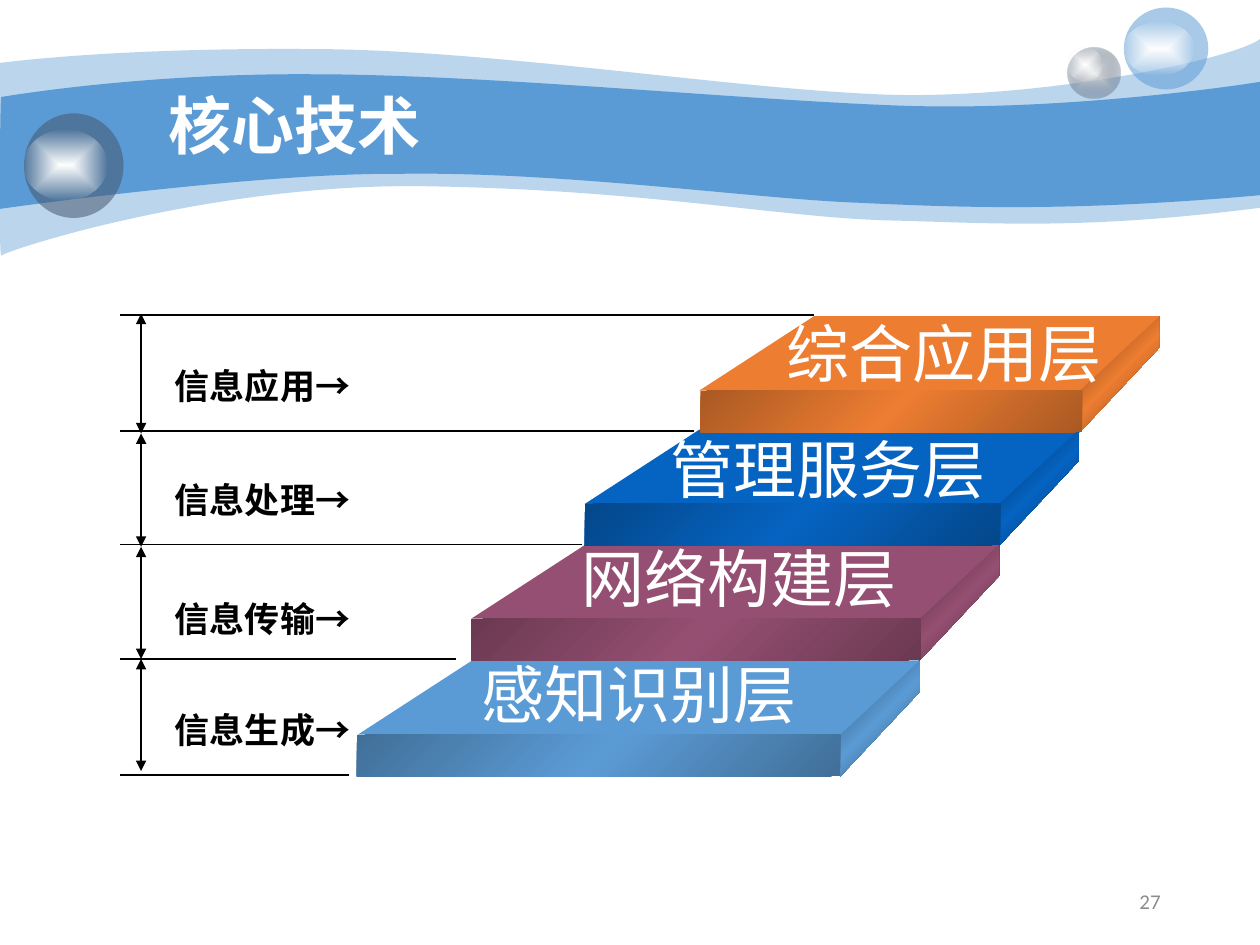
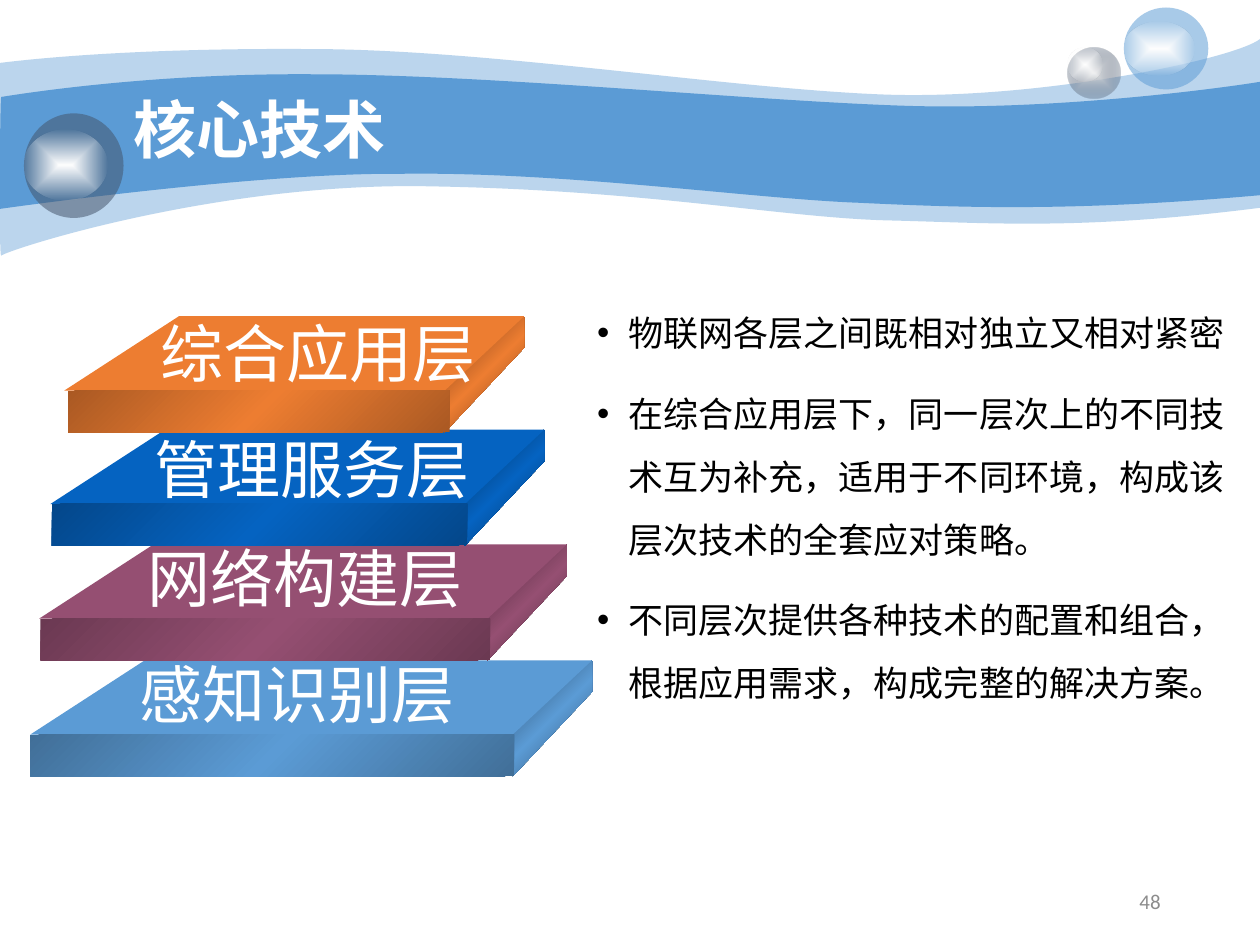
"""Builds two slides on the four technology layers of the Internet of Things."""
import lxml.etree
import pptx
import pptx.dml.color
import pptx.enum.shapes
import pptx.enum.text
import pptx.oxml
import pptx.oxml.ns
import pptx.util

Inches = pptx.util.Inches
qn = pptx.oxml.ns.qn
ALIGN = pptx.enum.text.PP_ALIGN
ANCHOR = pptx.enum.text.MSO_ANCHOR
OVAL = pptx.enum.shapes.MSO_SHAPE.OVAL
RECTANGLE = pptx.enum.shapes.MSO_SHAPE.RECTANGLE
STRAIGHT = pptx.enum.shapes.MSO_CONNECTOR.STRAIGHT
FONT = "Noto Sans CJK SC"
COLOURS = {
    "band": "5B9BD5", "slate": "44546A", "mist": "E2E3E5",
    "white": "FFFFFF", "black": "000000", "page": "8C8C8C",
}


def paint(shape, stops, radial=False):
    """Fill with (position, colour, opacity) stops; a single stop is a solid fill."""
    shape.shadow.inherit = False
    shape.line.fill.background()
    shape.fill.solid()
    solid = shape.element.spPr.find(qn("a:solidFill"))
    colours = [
        f'<a:srgbClr val="{colour}"><a:alpha val="{opacity * 1000}"/></a:srgbClr>'
        for _, colour, opacity in stops
    ]
    namespace = 'xmlns:a="http://schemas.openxmlformats.org/drawingml/2006/main"'
    if len(stops) == 1:
        xml = f"<a:solidFill {namespace}>{colours[0]}</a:solidFill>"
    else:
        steps = "".join(
            f'<a:gs pos="{stop[0] * 1000}">{colour}</a:gs>'
            for stop, colour in zip(stops, colours)
        )
        direction = '<a:lin ang="2700000" scaled="1"/>'
        if radial:
            direction = (
                '<a:path path="shape"><a:fillToRect l="50000" t="50000" '
                'r="50000" b="50000"/></a:path>'
            )
        xml = f"<a:gradFill {namespace}><a:gsLst>{steps}</a:gsLst>{direction}</a:gradFill>"
    solid.getparent().replace(solid, pptx.oxml.parse_xml(xml))


def write(shape, text, size, colour, bold=False, align=ALIGN.LEFT,
          anchor=ANCHOR.TOP, wrap=False, font=FONT):
    """Put text in a shape and format every run of it."""
    frame = shape.text_frame
    frame.text = text
    frame.word_wrap = wrap
    frame.vertical_anchor = anchor
    for paragraph in frame.paragraphs:
        paragraph.alignment = align
        for run in paragraph.runs:
            run.font.size = pptx.util.Pt(size)
            run.font.bold = bold
            run.font.name = font
            run.font.color.rgb = pptx.dml.color.RGBColor.from_string(COLOURS[colour])
            east_asian = lxml.etree.Element(qn("a:ea"), typeface=FONT)
            run.font._element.find(qn("a:latin")).addnext(east_asian)


deck = pptx.Presentation()
deck.slide_width, deck.slide_height = Inches(10), Inches(7.5)
layout = deck.slide_layouts[5]
slides = [deck.slides.add_slide(layout) for _ in range(2)]
layers_slide, summary_slide = slides

waves = [
    (41, (0, 0.5), [
        (0.24, 0.47, 1.07, 0.38, 2.47, 0.39), (3.86, 0.39, 5.75, 0.7, 6.99, 0.75),
        (8.22, 0.8, 9.8, 0.47, 10, 0.31), (10, 1.65),
        (8.58, 1.83, 7.87, 1.77, 7.05, 1.75), (6.22, 1.73, 5.15, 1.51, 3.43, 1.48),
        (1.72, 1.44, 0.04, 1.99, 0.01, 2.03), (-0.01, 2.08, 0, 0.75, 0, 0.5),
    ]),
    (100, (0.01, 0.77), [
        (0.02, 0.77, 1.1, 0.58, 2.48, 0.59), (3.86, 0.59, 5.95, 0.8, 7.18, 0.84),
        (8.41, 0.88, 9.76, 0.69, 10, 0.65), (10, 1.55),
        (8.53, 1.68, 7.65, 1.65, 6.82, 1.61), (5.99, 1.58, 4.47, 1.36, 3.17, 1.38),
        (2.03, 1.37, -0.02, 1.66, -0.01, 1.66), (0, 1.66, 0, 0.77, 0.01, 0.77),
    ]),
]
decoration = []
for opacity, start, segments in waves:
    builder = layers_slide.shapes.build_freeform(*map(Inches, start))
    for segment in segments:
        lengths = [Inches(value) for value in segment]
        builder.add_line_segments(list(zip(lengths[::2], lengths[1::2])), close=False)
    builder.add_line_segments([], close=True)
    wave = builder.convert_to_shape()
    strokes = iter(list(wave.element.spPr.iter(qn("a:lnTo"))))
    for segment in segments:
        pieces = [next(strokes) for _ in range(len(segment) // 2)]
        if len(pieces) == 3:
            curve = lxml.etree.Element(qn("a:cubicBezTo"))
            pieces[0].addprevious(curve)
            for piece in pieces:
                curve.append(piece[0])
                piece.getparent().remove(piece)
    paint(wave, [(0, COLOURS["band"], opacity)])
    decoration.append(wave)

glow = [(0, COLOURS["white"], 100), (100, COLOURS["white"], 0)]
bubbles = [
    ((8.47, 0.38, 0.42, 0.4), [(0, COLOURS["mist"], 100), (100, COLOURS["slate"], 31)]),
    ((8.47, 0.38, 0.28, 0.27), glow),
    ((8.92, 0.06, 0.67, 0.65), [(0, COLOURS["band"], 53)]),
    ((8.92, 0.17, 0.56, 0.43), glow),
    ((0.19, 0.9, 0.79, 0.83), [(0, COLOURS["slate"], 53)]),
    ((0.19, 1.03, 0.66, 0.56), glow),
]
for place, stops in bubbles:
    bubble = layers_slide.shapes.add_shape(OVAL, *map(Inches, place))
    paint(bubble, stops, radial=True)
    decoration.append(bubble)
for position, piece in enumerate(decoration, 2):
    layout.shapes.element.insert(position, piece.element)

layers = [
    ("综合应用层", "ED7D31", "AA5923", "713B17", 3.1, 2.45),
    ("管理服务层", "0563C1", "04478A", "022F5C", 4, 3.37),
    ("网络构建层", "954F72", "6B3952", "472636", 4.91, 4.23),
    ("感知识别层", "5B9BD5", "416F98", "2B4A65", 5.83, 5.15),
]
pages = [
    (layers_slide, "27", (1.24, 0.48), (5.55, 4.64, 3.74, 2.84),
     (5.56, 4.64, 3.74, 2.83), (6.13, 5.21, 4.5, 3.71)),
    (summary_slide, "48", (0.96, 0.51), (0.51, 0.4, 0.31, 0.24),
     (0.54, 0.41, 0.32, 0.24), (1.16, 1.11, 1.06, 0.99)),
]
for slide, number, title_place, slab_lefts, front_lefts, name_lefts in pages:
    title = slide.shapes.title
    title.left, title.top = map(Inches, title_place)
    title.width, title.height = Inches(6.36), Inches(1.09)
    write(title, "核心技术", 36, "white", bold=True, anchor=ANCHOR.MIDDLE, wrap=True)
    title.text_frame.paragraphs[0].line_spacing = 0.9

    page = slide.shapes.add_textbox(Inches(7.06), Inches(6.95), Inches(2.25), Inches(0.4))
    write(page, number, 12, "page", align=ALIGN.RIGHT, anchor=ANCHOR.MIDDLE,
          wrap=True, font="Calibri")

    for level in reversed(range(len(layers))):
        _, colour, front_shade, side_shade, front_top, _ = layers[level]
        left, width = slab_lefts[level], 3.02 + 0.27 * level
        back_top = front_top - 0.59
        right, back_right = left + width, left + width + 0.63
        side = [(back_right, back_top + 0.25), (right, front_top + 0.33),
                (right, front_top), (back_right, back_top)]
        surface = [(right, front_top), (left, front_top),
                   (left + 0.91, back_top), (back_right, back_top)]
        side_stops = [(0, side_shade, 100), (50, colour, 100), (100, side_shade, 100)]
        for corners, stops in ((side, side_stops), (surface, [(0, colour, 100)])):
            points = [(Inches(x), Inches(y)) for x, y in corners]
            builder = slide.shapes.build_freeform(*points[0])
            builder.add_line_segments(points[1:])
            paint(builder.convert_to_shape(), stops)
        front = slide.shapes.add_shape(
            RECTANGLE, Inches(front_lefts[level]), Inches(front_top),
            Inches(width + 0.01), Inches(0.33))
        paint(front, [(0, front_shade, 100), (50, colour, 100), (100, front_shade, 100)])

    for (name, *_, name_top), name_left in zip(layers, name_lefts):
        layer_name = slide.shapes.add_textbox(
            Inches(name_left), Inches(name_top), Inches(2.73), Inches(0.71))
        write(layer_name, name, 36, "white", align=ALIGN.CENTER)

guide_ends = [(6.46, 2.5), (5.51, 3.42), (4.62, 4.32), (3.62, 5.23), (2.77, 6.15)]
guides = [(end, y, 0.95, y) for end, y in guide_ends]
span_limits = [2.49, 3.44, 4.34, 5.23, 6.12]
spans = [(1.12, top, 1.12, bottom) for top, bottom in zip(span_limits, span_limits[1:])]
for ends in guides + spans:
    rule = layers_slide.shapes.add_connector(STRAIGHT, *map(Inches, ends))
    rule.line.width = pptx.util.Pt(0.75)
    rule.line.color.rgb = pptx.dml.color.RGBColor.from_string(COLOURS["black"])
    properties = rule.element.spPr
    lxml.etree.SubElement(properties, qn("a:effectLst"))
    if ends in spans:
        for arrowhead in ("a:headEnd", "a:tailEnd"):
            lxml.etree.SubElement(properties.find(qn("a:ln")), qn(arrowhead), type="triangle")

roles = [("信息应用→", 2.84), ("信息处理→", 3.75), ("信息传输→", 4.69), ("信息生成→", 5.57)]
for role, top in roles:
    role_label = layers_slide.shapes.add_textbox(
        Inches(1.29), Inches(top), Inches(1.6), Inches(0.44))
    write(role_label, role, 20, "black", bold=True)

remarks = [
    "物联网各层之间既相对独立又相对紧密",
    "在综合应用层下，同一层次上的不同技术互为补充，适用于不同环境，构成该层次技术的全套应对策略。",
    "不同层次提供各种技术的配置和组合，根据应用需求，构成完整的解决方案。",
]
summary = summary_slide.shapes.add_textbox(
    Inches(4.64), Inches(2.26), Inches(5.36), Inches(4.46))
write(summary, "\n".join(remarks), 20, "black", wrap=True, font="Calibri")
for index, paragraph in enumerate(summary.text_frame.paragraphs):
    properties = paragraph._p.get_or_add_pPr()
    properties.set("marL", str(Inches(0.25)))
    properties.set("indent", str(Inches(-0.25)))
    lxml.etree.SubElement(properties, qn("a:buFont"), typeface="Arial")
    lxml.etree.SubElement(properties, qn("a:buChar"), char="•")
    paragraph.line_spacing = 1.5
    paragraph.space_before = pptx.util.Pt(10 if index else 0)

deck.save("out.pptx")
